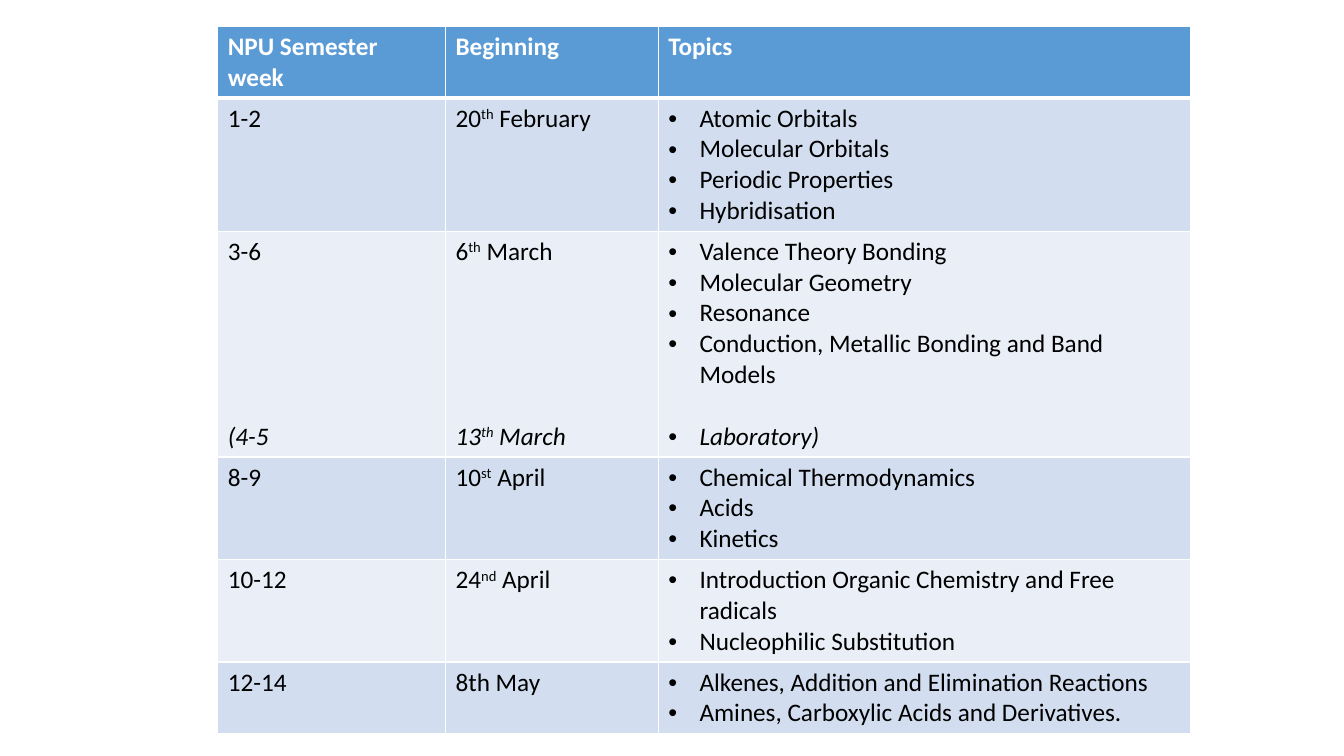
from lxml.etree import SubElement
from pptx import Presentation
from pptx.dml.color import RGBColor
from pptx.oxml import parse_xml
from pptx.oxml.ns import nsdecls, qn
from pptx.util import Inches, Pt

COLORS = {
    "header": "5B9BD5",
    "odd": "D2DEEF",
    "even": "EAEFF7",
    "border": "FFFFFF",
    "header_text": "FFFFFF",
    "text": "000000",
}
LINE_HEIGHT = 22
CELL_PADDING = 7.2
COLUMN_SHARES = [16.95, 15.83, 39.61]
LINES_PER_ROW = [2, 4, 7, 3, 3, 2]
LABORATORY_GAPS = {"(4-5": 5, "13^th^ March": 5, "Laboratory)": 1}

SCHEDULE = [
    [["NPU Semester week"], ["Beginning"], ["Topics"]],
    [["1-2"], ["20^th^ February"],
     ["Atomic Orbitals", "Molecular Orbitals", "Periodic Properties", "Hybridisation"]],
    [["3-6", "(4-5"], ["6^th^ March", "13^th^ March"],
     ["Valence Theory Bonding", "Molecular Geometry", "Resonance",
      "Conduction, Metallic Bonding and Band Models", "Laboratory)"]],
    [["8-9"], ["10^st^ April"], ["Chemical Thermodynamics", "Acids", "Kinetics"]],
    [["10-12"], ["24^nd^ April"],
     ["Introduction Organic Chemistry and Free radicals", "Nucleophilic Substitution"]],
    [["12-14"], ["8th May"],
     ["Alkenes, Addition and Elimination Reactions",
      "Amines, Carboxylic Acids and Derivatives."]],
]


def set_borders(cell, widths):
    properties = cell._tc.get_or_add_tcPr()
    for position, (side, width) in enumerate(widths.items()):
        properties.insert(position, parse_xml(
            f'<a:ln{side} {nsdecls("a")} w="{Pt(width)}"><a:solidFill>'
            f'<a:srgbClr val="{COLORS["border"]}"/></a:solidFill></a:ln{side}>'))


def write_paragraph(paragraph, text, is_header, is_bullet):
    if is_bullet:
        properties = paragraph._p.get_or_add_pPr()
        properties.set("marL", str(Inches(0.31)))
        properties.set("indent", str(-Inches(0.31)))
        SubElement(properties, qn("a:buFont")).set("typeface", "Arial")
        SubElement(properties, qn("a:buChar")).set("char", "•")
    if text in LABORATORY_GAPS:
        paragraph.space_before = Pt(LINE_HEIGHT * LABORATORY_GAPS[text])
    for index, part in enumerate(text.split("^")):
        run = paragraph.add_run()
        run.text = part
        run.font.name = "Calibri"
        run.font.size = Pt(18)
        run.font.bold = is_header
        run.font.italic = text in LABORATORY_GAPS
        color = COLORS["header_text" if is_header else "text"]
        run.font.color.rgb = RGBColor.from_string(color)
        if index % 2:
            run._r.get_or_add_rPr().set("baseline", "30000")


presentation = Presentation()
presentation.slide_width = Inches(13.33)
presentation.slide_height = Inches(7.5)
slide = presentation.slides.add_slide(presentation.slide_layouts[6])

column_widths = [int(presentation.slide_width * share / 100) for share in COLUMN_SHARES]
row_heights = [Pt(LINE_HEIGHT * lines + CELL_PADDING) for lines in LINES_PER_ROW]
table = slide.shapes.add_table(
    len(SCHEDULE), len(COLUMN_SHARES),
    int(presentation.slide_width * 0.162), int(presentation.slide_height * 0.035),
    sum(column_widths), sum(row_heights)).table
for column, width in zip(table.columns, column_widths):
    column.width = width
for row, height in zip(table.rows, row_heights):
    row.height = height

for row_index, entries in enumerate(SCHEDULE):
    is_header = row_index == 0
    fill = "header" if is_header else "odd" if row_index % 2 else "even"
    for column_index, lines in enumerate(entries):
        cell = table.cell(row_index, column_index)
        cell.fill.solid()
        cell.fill.fore_color.rgb = RGBColor.from_string(COLORS[fill])
        set_borders(cell, {"L": 1, "R": 1, "T": 3 if row_index == 1 else 1,
                           "B": 3 if is_header else 1})
        text_frame = cell.text_frame
        for line_index, text in enumerate(lines):
            paragraph = text_frame.add_paragraph() if line_index else text_frame.paragraphs[0]
            write_paragraph(paragraph, text, is_header, column_index == 2 and not is_header)

presentation.save("out.pptx")
